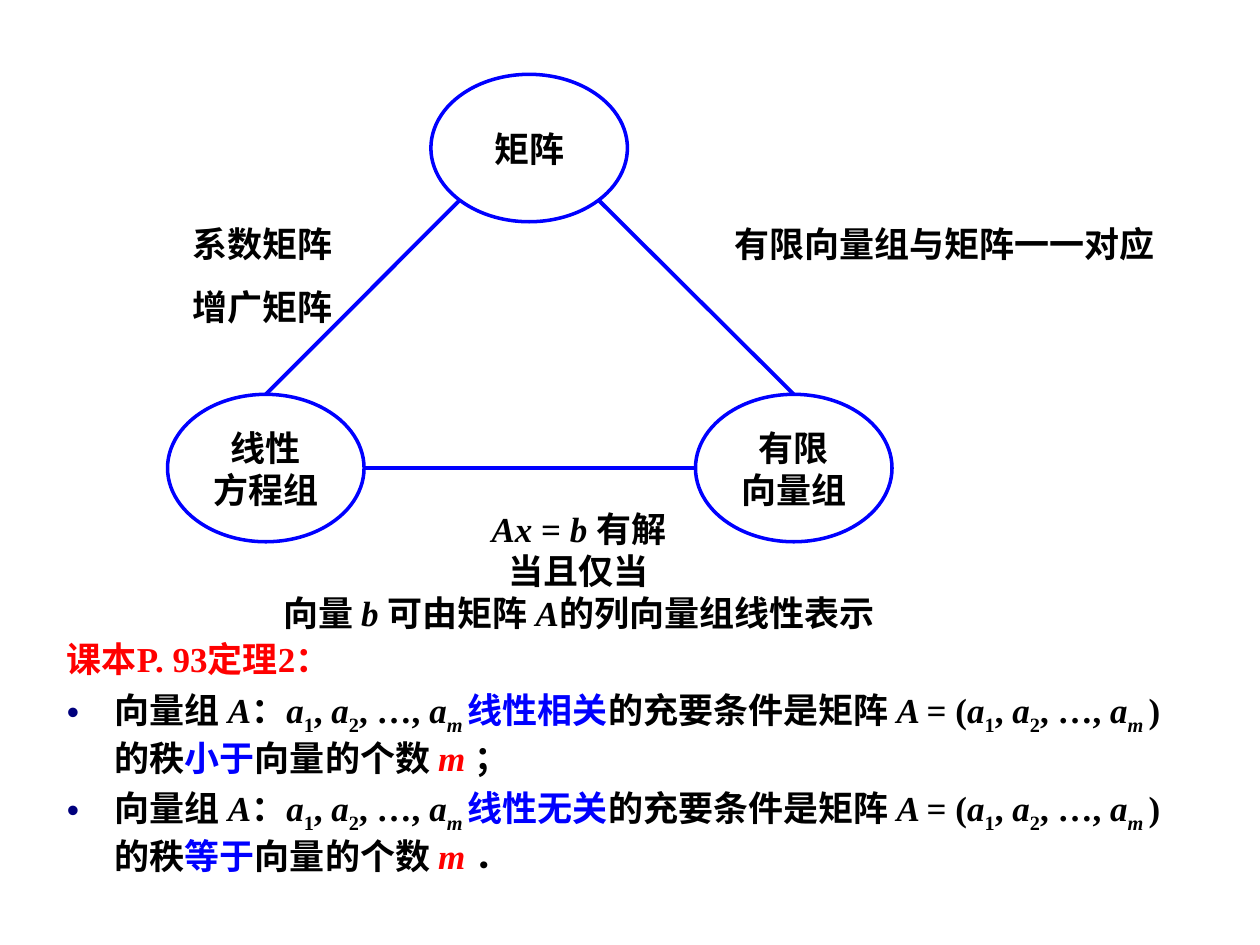
from dataclasses import dataclass
from math import sqrt
from typing import NamedTuple

from lxml.etree import SubElement
from pptx import Presentation
from pptx.dml.color import RGBColor
from pptx.enum.shapes import MSO_CONNECTOR, MSO_SHAPE
from pptx.enum.text import MSO_ANCHOR, MSO_AUTO_SIZE, PP_ALIGN
from pptx.oxml.ns import qn
from pptx.util import Inches, Pt

COLORS = {"blue": "0000FF", "red": "FF0000", "black": "000000", "bullet": "00007D"}
LATIN, CJK = "Times New Roman", "Noto Sans CJK SC"
NODE_W, NODE_H = 1.56, 1.17


class Run(NamedTuple):
    text: str
    italic: bool = False
    sub: bool = False
    color: str = "black"


@dataclass
class Node:
    lines: list[str]
    x: float
    y: float

    def point(self, dx: float, dy: float) -> tuple[float, float]:
        """Point offset from the centre, in half widths and half heights."""
        return (self.x + NODE_W / 2 * (1 + dx), self.y + NODE_H / 2 * (1 + dy))


@dataclass
class Label:
    lines: list[list[Run]]
    x: float
    y: float
    w: float
    h: float
    font: str = CJK
    align: PP_ALIGN = PP_ALIGN.LEFT


def rgb(name: str) -> RGBColor:
    return RGBColor.from_string(COLORS[name])


def add_runs(p, runs: list[Run], font: str = LATIN) -> None:
    for run in runs:
        r = p.add_run()
        r.text = run.text
        r.font.size, r.font.bold, r.font.italic = Pt(20), True, run.italic
        r.font.name = font
        r.font.color.rgb = rgb(run.color)
        rPr = r.font._element
        rPr.find(qn("a:latin")).addnext(rPr.makeelement(qn("a:ea"), {"typeface": CJK}))
        if run.sub:
            rPr.set("baseline", "-25000")


def fill_text(tf, lines: list[list[Run]], align: PP_ALIGN, font: str = LATIN) -> None:
    for n, runs in enumerate(lines):
        p = tf.paragraphs[0] if n == 0 else tf.add_paragraph()
        p.alignment = align
        add_runs(p, runs, font)


def add_node(s, node: Node) -> None:
    sp = s.shapes.add_shape(MSO_SHAPE.OVAL, Inches(node.x), Inches(node.y),
                            Inches(NODE_W), Inches(NODE_H))
    sp.shadow.inherit = False
    sp.fill.background()
    sp.line.color.rgb, sp.line.width = rgb("blue"), Pt(2)
    sp.text_frame.vertical_anchor = MSO_ANCHOR.MIDDLE
    fill_text(sp.text_frame, [[Run(t)] for t in node.lines], PP_ALIGN.CENTER)


def add_edge(s, start: tuple[float, float], end: tuple[float, float]) -> None:
    c = s.shapes.add_connector(MSO_CONNECTOR.STRAIGHT, *map(Inches, start + end))
    c.line.color.rgb, c.line.width = rgb("blue"), Pt(2.25)
    SubElement(c._element.spPr, qn("a:effectLst"))


def add_label(s, label: Label):
    sp = s.shapes.add_textbox(*map(Inches, (label.x, label.y, label.w, label.h)))
    sp.text_frame.word_wrap = False
    fill_text(sp.text_frame, label.lines, label.align, label.font)
    return sp.text_frame


def vectors() -> list[Run]:
    return [Run("a", True), Run("1", sub=True), Run(", "),
            Run("a", True), Run("2", sub=True), Run(", …, "),
            Run("a", True), Run("m ", True, True)]


def theorem(relation: str, rank: str, end: str) -> list[Run]:
    return [Run("向量组 "), Run("A", True), Run("："), *vectors(),
            Run(relation, color="blue"), Run("的充要条件是矩阵 "),
            Run("A ", True), Run("= ("), *vectors(), Run(") 的秩"),
            Run(rank, color="blue"), Run("向量的个数 "),
            Run("m ", True, color="red"), Run(end)]


def set_bullet(p, char: str = "") -> None:
    pPr = p._p.get_or_add_pPr()
    pPr.set("marL", str(Inches(0.38)))
    pPr.set("indent", str(-Inches(0.38)))
    if char:
        clr = SubElement(pPr, qn("a:buClr"))
        SubElement(clr, qn("a:srgbClr"), val=COLORS["bullet"])
        SubElement(pPr, qn("a:buChar"), char=char)
    else:
        SubElement(pPr, qn("a:buNone"))


def main() -> None:
    prs = Presentation()
    prs.slide_width, prs.slide_height = Inches(10), Inches(7.5)
    s = prs.slides.add_slide(prs.slide_layouts[1])
    title = s.shapes.title._element
    title.getparent().remove(title)

    # Triangle of concepts
    matrix = Node(["矩阵"], 3.42, 0.59)
    system = Node(["线性", "方程组"], 1.33, 3.13)
    group = Node(["有限", "向量组"], 5.52, 3.13)
    for node in (matrix, system, group):
        add_node(s, node)
    d = sqrt(0.5)
    add_edge(s, matrix.point(-d, d), system.point(0, -1))
    add_edge(s, matrix.point(d, d), group.point(0, -1))
    add_edge(s, system.point(1, 0), group.point(-1, 0))

    # Labels on the edges
    tf = add_label(s, Label([[Run("系数矩阵")], [Run("增广矩阵")]], 1.43, 1.72, 1.31, 0.94))
    tf.paragraphs[1].line_spacing = 1.5
    add_label(s, Label([[Run("有限向量组与矩阵一一对应")]], 5.73, 1.72, 3.54, 0.44))
    add_label(s, Label([
        [Run("Ax", True), Run(" = "), Run("b ", True), Run("有解")],
        [Run("当且仅当")],
        [Run("向量 "), Run("b ", True), Run("可由矩阵 "), Run("A", True),
         Run("的列向量组线性表示")],
    ], 1.94, 3.98, 5.31, 1.1, LATIN, PP_ALIGN.CENTER))

    # Theorem list
    body = s.placeholders[1]
    body.left, body.top, body.width, body.height = map(Inches, (0.43, 5.01, 9, 2.09))
    tf = body.text_frame
    tf.word_wrap, tf.auto_size = True, MSO_AUTO_SIZE.NONE
    tf.vertical_anchor = MSO_ANCHOR.TOP
    fill_text(tf, [
        [Run("课本P. 93定理2：", color="red")],
        theorem("线性相关", "小于", "；"),
        theorem("线性无关", "等于", "．"),
    ], PP_ALIGN.LEFT)
    for n, p in enumerate(tf.paragraphs):
        set_bullet(p, "•" if n else "")
        p.space_before = Pt(5 if n else 0)

    prs.save("out.pptx")


if __name__ == "__main__":
    main()
